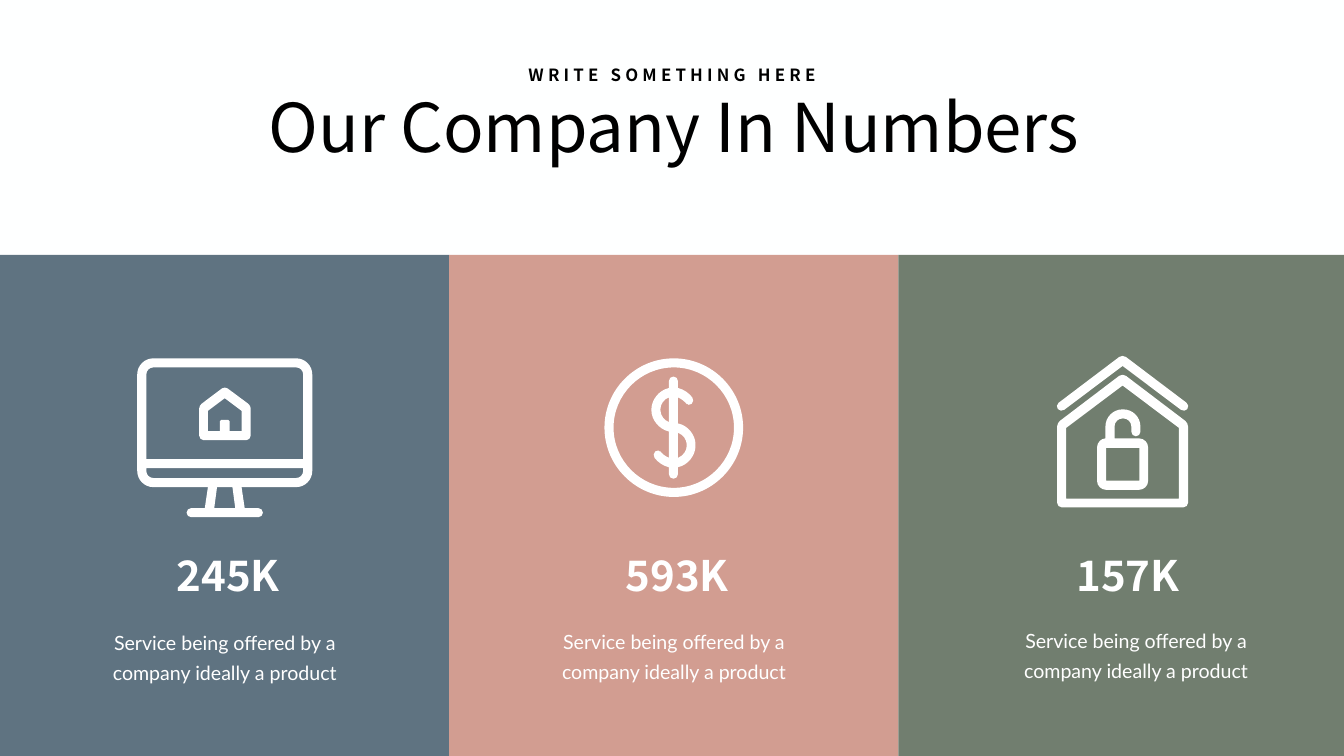
from lxml import etree
from pptx import Presentation, util as u
from pptx.dml import color
from pptx.enum import shapes, text
from pptx.oxml import ns

Pt = u.Pt
SANS, BODY = "Noto Sans CJK SC", "Lato"
WHITE, BLACK = "FFFFFF", "000000"
PITCH, TOP, HIGH = 641.5, 364.3, 715.7

# Each outline is a list of contours; a corner is (x, y) or (x, y, rounding).
SCREEN = [
    [(0, 0, 23), (250, 0, 23), (250, 184, 23), (149, 184), (153.5, 214),
     (179.5, 214, 6.5), (179.5, 227, 6.5), (70.5, 227, 6.5),
     (70.5, 214, 6.5), (96.5, 214), (101, 184), (0, 184, 23)],
    [(13, 13, 10), (237, 13, 10), (237, 144), (13, 144)],
    [(13, 157), (237, 157), (237, 171, 10), (13, 171, 10)],
    [(114, 184), (136, 184), (140, 214), (110, 214)],
]
HOME = [
    [(88.5, 117, 6.5), (162, 117, 6.5), (162, 67.5, 4), (125, 40, 5),
     (88.5, 67.5, 4)],
    [(101, 75), (125, 57), (149, 75), (149, 104), (132, 104), (132, 88, 2),
     (118, 88, 2), (118, 104), (101, 104)],
]
COIN = [
    [(0, 0, 99), (198, 0, 99), (198, 198, 99), (0, 198, 99)],
    [(13, 13, 86), (185, 13, 86), (185, 185, 86), (13, 185, 86)],
]
DOLLAR = [
    [(92, 42.5), (92, 26, 6.5), (105, 26, 6.5), (105, 42.5),
     (118, 45.5, 12), (129, 61, 6), (120, 69, 6), (113, 59, 8),
     (105, 56), (105, 93), (130, 98, 25), (130, 150, 25), (105, 155.5),
     (105, 172, 6.5), (92, 172, 6.5), (92, 155.5), (79, 152.5, 12),
     (68, 137, 6), (77, 129, 6), (84, 139, 8), (92, 142), (92, 104.5),
     (67, 99, 25), (67, 48, 25)],
    [(105, 106.5), (117.5, 111, 12), (117.5, 137, 12), (105, 142)],
    [(92, 91), (80, 86.5, 12), (80, 60, 12), (92, 56)],
]
WALLS = [
    [(0, 216.5, 6.5), (187, 216.5, 6.5), (187, 96, 5), (93.5, 25, 6),
     (0, 96, 5)],
    [(13, 103), (93.5, 42.5), (174, 103), (174, 204), (13, 204)],
]
ROOF = [
    [(93.5, -2, 6), (190, 71, 6.5), (182, 81, 6.5), (93.5, 14.5),
     (5, 81, 6.5), (-3, 71, 6.5)],
]
LOCK = [
    [(69, 118), (69, 76.5, 24.5), (119, 76.5, 24.5), (119, 115, 6.5),
     (106, 115, 6.5), (106, 89.5, 11.5), (82, 89.5, 11.5), (82, 118),
     (130, 118, 13), (130, 191.5, 13), (57, 191.5, 13), (57, 118, 13)],
    [(70, 131.5), (117.5, 131.5), (117.5, 178.5), (70, 178.5)],
]
PANELS = [
    ("5F7381", (196, 147.6), (SCREEN, HOME), "245K", 245, (137, 519)),
    ("D29D91", (221.8, 147.6), (COIN, DOLLAR), "593K", 244.8, (137, 517)),
    ("717E6F", (226.8, 144), (WALLS, ROOF, LOCK), "157K", 247, (155.5, 516)),
]


def tint(form, code):
    """Give a fill, font or background the colour of a hex string."""
    if hasattr(form, "solid"):
        form.solid()
        form = form.fore_color
    else:
        form = form.color
    form.rgb = color.RGBColor.from_string(code)


def plain(shape, code):
    """Fill a shape flat, without line or shadow."""
    tint(shape.fill, code)
    shape.line.fill.background()
    shape.shadow.inherit = False


def place(shape, x, y, w, h):
    """Set the box of a shape in points."""
    shape.left, shape.top, shape.width, shape.height = map(Pt, (x, y, w, h))


def write(shape, words, size, face, code, bold=False, mid=True, track=0):
    """Write one run into a shape and return its paragraph."""
    frame = shape.text_frame
    frame.word_wrap = True
    frame.auto_size = text.MSO_AUTO_SIZE.NONE
    frame.vertical_anchor = text.MSO_ANCHOR.TOP
    para = frame.paragraphs[0]
    para.alignment = text.PP_ALIGN.CENTER if mid else text.PP_ALIGN.LEFT
    run = para.add_run()
    run.text = words
    font = run.font
    font.size, font.name, font.bold = Pt(size), face, bold
    tint(font, code)
    if track:
        font._element.set("spc", str(track * 100))
    return para


def toward(a, b, dist):
    """Return the point at a distance from a on the way to b."""
    span = ((b[0] - a[0]) ** 2 + (b[1] - a[1]) ** 2) ** 0.5
    part = min(dist / span, 1)
    return a[0] + (b[0] - a[0]) * part, a[1] + (b[1] - a[1]) * part


def trace(nodes):
    """Return the points of a contour and the places where curves begin."""
    spots, bends = [], []
    for i, node in enumerate(nodes):
        if len(node) == 2:
            spots.append(node)
            continue
        prev, then, rad = nodes[i - 1], nodes[(i + 1) % len(nodes)], node[2]
        start = toward(node, prev, rad)
        if not spots or max(abs(a - b) for a, b in zip(start, spots[-1])) > 0.6:
            spots.append(start)
        bends.append(len(spots))
        spots += [toward(node, prev, rad * 0.45),
                  toward(node, then, rad * 0.45), toward(node, then, rad)]
    return spots, bends


def bend(shape, marks):
    """Join each marked line and the two after it into one curve."""
    lines = list(shape._element.iter(ns.qn("a:lnTo")))
    for k in marks:
        curve = etree.Element(ns.qn("a:cubicBezTo"))
        lines[k].addprevious(curve)
        for line in lines[k:k + 3]:
            curve.append(line[0])
            line.getparent().remove(line)


def icon(slide, x, y, parts):
    """Draw white outlines with their origin at a point."""
    for part in parts:
        pen, marks, count = None, [], 0
        for nodes in part:
            spots, bends = trace(nodes)
            spots = [(Pt(x + a), Pt(y + b)) for a, b in spots]
            if pen is None:
                pen = slide.shapes.build_freeform(*spots[0])
            else:
                pen.move_to(*spots[0])
            pen.add_line_segments(spots[1:], close=True)
            marks += [count + k - 1 for k in bends]
            count += len(spots) - 1
        shape = pen.convert_to_shape()
        bend(shape, marks)
        plain(shape, WHITE)


def label(slide, x, y, w, h):
    """Add an empty text box at a place in points."""
    return slide.shapes.add_textbox(*map(Pt, (x, y, w, h)))


def header(slide, x, y, w):
    """Place the title and the small line above it."""
    title = slide.shapes.title
    place(title, x + 118, y + 118, w - 231, 124)
    write(title, "Our Company In Numbers", 96, SANS, BLACK)
    write(label(slide, x + 747.3, y + 89.3, 425, 36), "WRITE SOMETHING HERE",
          24, SANS, BLACK, bold=True, track=6)


def panel(slide, x, y, w, h, data):
    """Build one coloured panel with icon, number and caption."""
    code, (ix, iy), parts, count, left, (cx, cy) = data
    rect = shapes.MSO_SHAPE.RECTANGLE
    plain(slide.shapes.add_shape(rect, *map(Pt, (x, y, w, h))), code)
    icon(slide, x + ix, y + iy, parts)
    write(label(slide, x + left, y + 417, 164, 80), count,
          60, SANS, WHITE, bold=True, mid=False)
    box = label(slide, x + cx, y + cy, 368, 99.5)
    frame = box.text_frame
    frame.margin_left = frame.margin_right = Pt(17)
    frame.margin_top = frame.margin_bottom = Pt(8.5)
    para = write(box, "Service being offered by a company ideally a product",
                 28, BODY, WHITE)
    para.line_spacing = Pt(43)


def main():
    """Build and save the slide."""
    deck = Presentation()
    deck.slide_width, deck.slide_height = Pt(1919.5), Pt(1080)
    slide = deck.slides.add_slide(deck.slide_layouts[5])
    tint(slide.background.fill, "FEFFFF")
    header(slide, 0, 0, 1919.5)
    for i, data in enumerate(PANELS):
        panel(slide, i * PITCH, TOP, PITCH, HIGH, data)
    deck.save("out.pptx")


if __name__ == "__main__":
    main()
